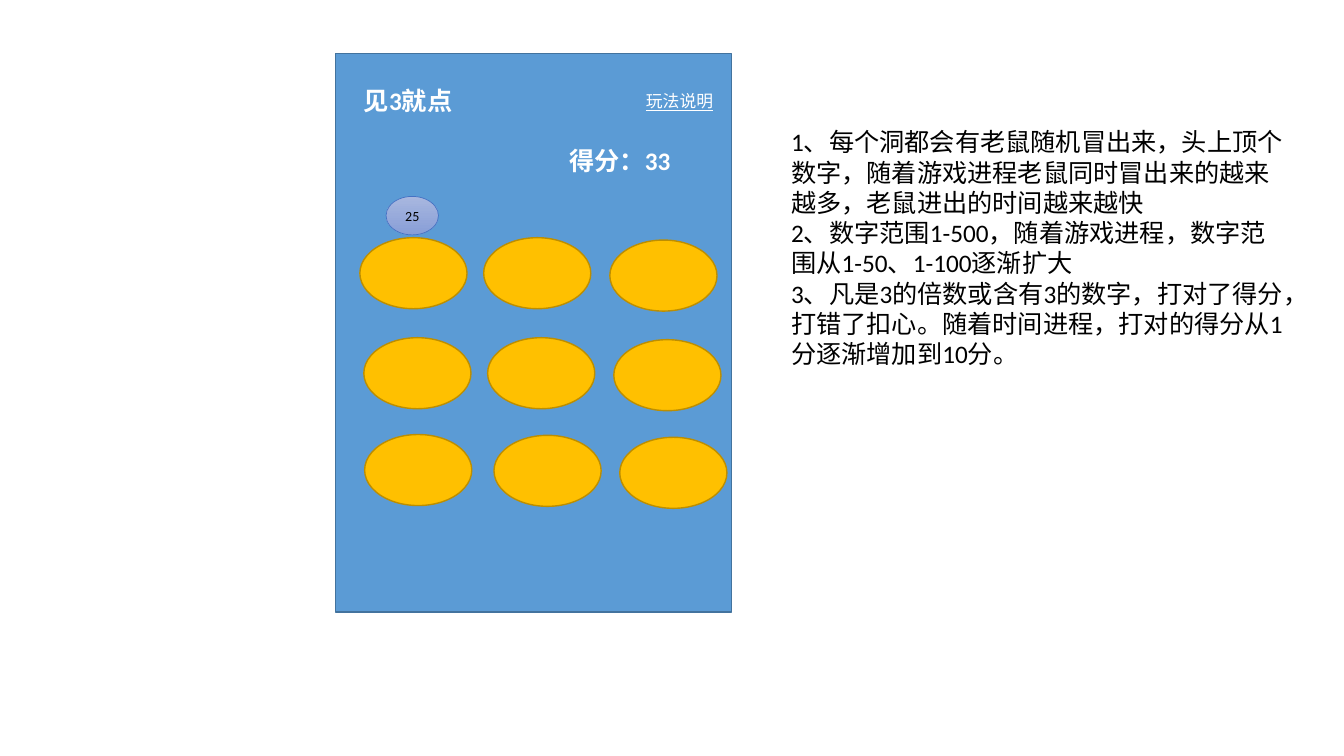
from typing import NamedTuple

from pptx import Presentation
from pptx import util as u
from pptx.dml.color import RGBColor
from pptx.enum import shapes, text


class Box(NamedTuple):
    x: float
    y: float
    w: float
    h: float


class Label(NamedTuple):
    box: Box
    lines: list[str]
    fmt: dict


class HoleRow(NamedTuple):
    lefts: tuple[float, ...]
    tops: tuple[float, ...]


HOLE_W, HOLE_H = 2.7, 1.79
HOLE_ROWS = [
    HoleRow((9.07, 12.19, 15.37), (5.99, 5.99, 6.05)),
    HoleRow((9.17, 12.29, 15.47), (8.51, 8.51, 8.56)),
    HoleRow((9.19, 12.45, 15.62), (10.95, 10.97, 11.02)),
]
RULES = [
    "1、每个洞都会有老鼠随机冒出来，头上顶个数字，随着游戏进程老鼠同时冒出来的越来越多，老鼠进出的时间越来越快",
    "2、数字范围1-500，随着游戏进程，数字范围从1-50、1-100逐渐扩大",
    "3、凡是3的倍数或含有3的数字，打对了得分，打错了扣心。随着时间进程，打对的得分从1分逐渐增加到10分。",
]
HEADING = {"size": 18, "color": "FFFFFF", "bold": True}
LABELS = [
    Label(Box(8.92, 2.03, 4.62, 1.02), ["见3就点"], HEADING),
    Label(Box(16.03, 2.16, 2.44, 0.76), ["玩法说明"],
          {"size": 12, "color": "FFFFFF", "underline": True}),
    Label(Box(19.69, 3.07, 12.93, 6.4), RULES, {"size": 18}),
    Label(Box(14.1, 3.53, 3.89, 1.02), ["得分：33"], HEADING),
]


def rgb(color: str) -> RGBColor:
    return RGBColor.from_string(color)


def place(box: Box) -> list[u.Length]:
    return [u.Cm(v) for v in box]


def write(tf, lines: list[str], size: float = 18, color: str = "000000",
          bold: bool = False, underline: bool = False, align=None) -> None:
    tf.word_wrap = True
    for i, line in enumerate(lines):
        p = tf.add_paragraph() if i else tf.paragraphs[0]
        p.alignment = align
        r = p.add_run()
        r.text = line
        f = r.font
        f.name, f.size, f.bold, f.underline = "Calibri", u.Pt(size), bold, underline
        f.color.rgb = rgb(color)


def add_shape(slide, kind, box: Box, fills: list[str], line: str, width: float = 1):
    sp = slide.shapes.add_shape(kind, *place(box))
    sp.shadow.inherit = False
    if len(fills) == 1:
        sp.fill.solid()
        sp.fill.fore_color.rgb = rgb(fills[0])
    else:
        sp.fill.gradient()
        sp.fill.gradient_angle = 270
        for stop, color in zip(sp.fill.gradient_stops, fills):
            stop.color.rgb = rgb(color)
    sp.line.color.rgb = rgb(line)
    sp.line.width = u.Pt(width)
    return sp


def add_label(slide, label: Label) -> None:
    tf = slide.shapes.add_textbox(*place(label.box)).text_frame
    write(tf, label.lines, **label.fmt)
    tf.auto_size = text.MSO_AUTO_SIZE.SHAPE_TO_FIT_TEXT


def main() -> None:
    prs = Presentation()
    prs.slide_width, prs.slide_height = u.Cm(33.87), u.Cm(19.05)
    s = prs.slides.add_slide(prs.slide_layouts[6])
    oval = shapes.MSO_SHAPE.OVAL

    add_shape(s, shapes.MSO_SHAPE.RECTANGLE, Box(8.46, 1.35, 9.98, 14.07),
              ["5B9BD5"], "43739E")
    for row in HOLE_ROWS:
        for x, y in zip(row.lefts, row.tops):
            add_shape(s, oval, Box(x, y, HOLE_W, HOLE_H), ["FFC000"], "BD8E00")

    mouse = add_shape(s, oval, Box(9.73, 4.95, 1.32, 0.97),
                      ["A8B7DF", "889ED7"], "4472C4", 0.5)
    tf = mouse.text_frame
    tf.vertical_anchor = text.MSO_ANCHOR.MIDDLE
    write(tf, ["25"], size=10, align=text.PP_ALIGN.CENTER)

    for label in LABELS:
        add_label(s, label)
    prs.save("out.pptx")


if __name__ == "__main__":
    main()
